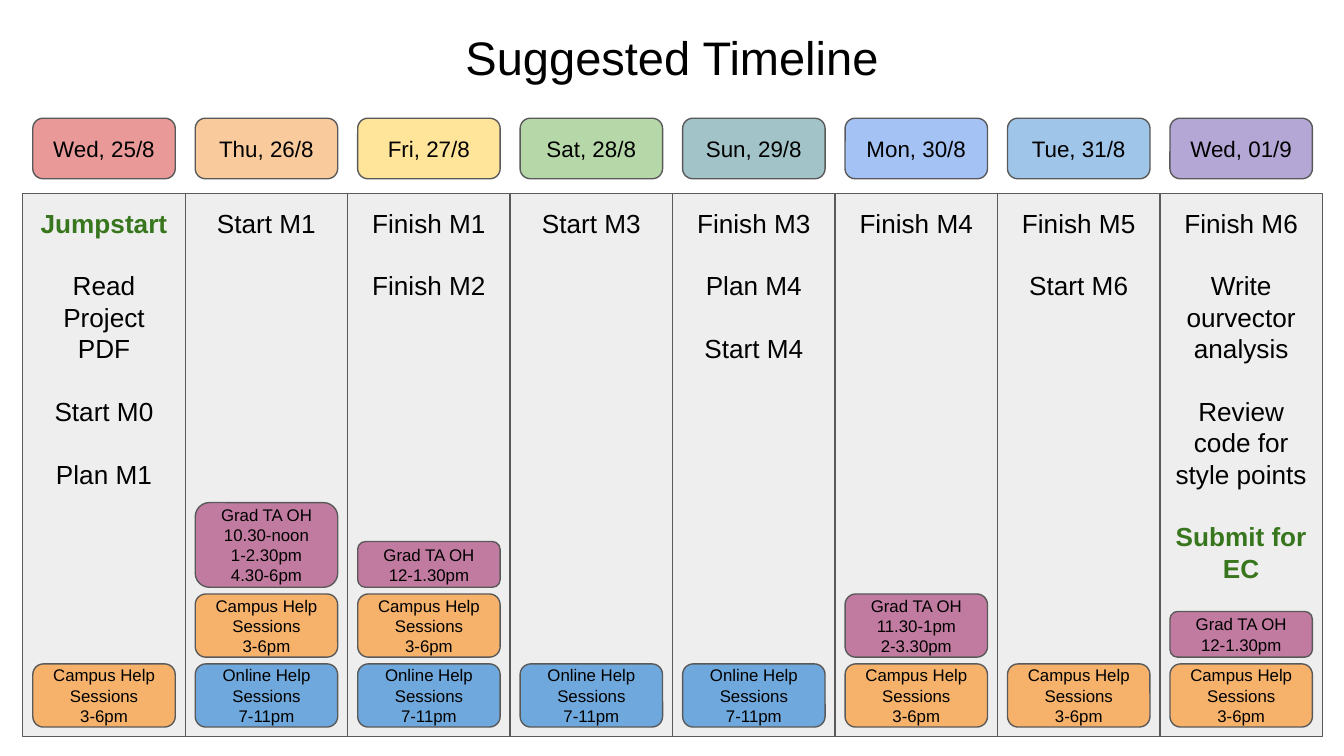
from pptx import Presentation
from pptx.dml.color import RGBColor
from pptx.enum.shapes import MSO_SHAPE
from pptx.enum.text import MSO_ANCHOR, PP_ALIGN
from pptx.util import Inches, Pt

RECT, ROUNDED = MSO_SHAPE.RECTANGLE, MSO_SHAPE.ROUNDED_RECTANGLE
TOP, MIDDLE = MSO_ANCHOR.TOP, MSO_ANCHOR.MIDDLE
CENTER = PP_ALIGN.CENTER

BLACK, GREEN, GREY, BORDER = "000000", "38761D", "EEEEEE", "595959"
BLUE, ORANGE, PURPLE = "6FA8DC", "F6B26B", "C27BA0"

# Slide, column and card geometry, in inches
SLIDE_WIDTH = 10
SLIDE_HEIGHT = SLIDE_WIDTH * 9 / 16
LEFT, PITCH, COLUMN_TOP, COLUMN_HEIGHT = 0.17, 9.67 / 8, 1.44, 4.04
CARD_WIDTH = 1.06
CARD_INSET = (PITCH - CARD_WIDTH) / 2
DATE_TOP, DATE_HEIGHT = 0.88, 0.45
SESSIONS_BOTTOM, SESSION_GAP = 5.41, 0.05

# Help sessions: fill, height, lines
ONLINE = (BLUE, 0.47, ["Online Help Sessions", "7-11pm"])
CAMPUS = (ORANGE, 0.47, ["Campus Help Sessions", "3-6pm"])


def grad_hours(height, *times):
    return PURPLE, height, ["Grad TA OH", *times]


# Each day: date, date colour, tasks, sessions from the bottom up
DAYS = [
    ("Wed, 25/8", "EA9999", ["Jumpstart", "Read Project PDF", "Start M0", "Plan M1"],
     [CAMPUS]),
    ("Thu, 26/8", "F9CB9C", ["Start M1"],
     [ONLINE, CAMPUS, grad_hours(0.63, "10.30-noon", "1-2.30pm", "4.30-6pm")]),
    ("Fri, 27/8", "FFE599", ["Finish M1", "Finish M2"],
     [ONLINE, CAMPUS, grad_hours(0.34, "12-1.30pm")]),
    ("Sat, 28/8", "B6D7A8", ["Start M3"], [ONLINE]),
    ("Sun, 29/8", "A2C4C9", ["Finish M3", "Plan M4", "Start M4"], [ONLINE]),
    ("Mon, 30/8", "A4C2F4", ["Finish M4"],
     [CAMPUS, grad_hours(0.47, "11.30-1pm", "2-3.30pm")]),
    ("Tue, 31/8", "9FC5E8", ["Finish M5", "Start M6"], [CAMPUS]),
    ("Wed, 01/9", "B4A7D6",
     ["Finish M6", "Write ourvector analysis", "Review code for style points",
      "Submit for EC"],
     [CAMPUS, grad_hours(0.34, "12-1.30pm")]),
]
MILESTONES = {"Jumpstart", "Submit for EC"}


def rgb(value):
    return RGBColor.from_string(value)


def write(frame, lines, size, anchor=MIDDLE, gap=0, highlights=()):
    """Fill a text frame with one centred paragraph per line."""
    frame.word_wrap = True
    frame.vertical_anchor = anchor
    frame.margin_left = frame.margin_right = Inches(0.1)
    frame.margin_top = frame.margin_bottom = Inches(0.1)
    for index, line in enumerate(lines):
        paragraph = frame.add_paragraph() if index else frame.paragraphs[0]
        paragraph.alignment = CENTER
        if index and gap:
            paragraph.space_before = Pt(gap)
        run = paragraph.add_run()
        run.text = line
        font = run.font
        font.name, font.size = "Arial", Pt(size)
        font.bold = line in highlights
        font.color.rgb = rgb(GREEN if line in highlights else BLACK)


class Timeline:
    def __init__(self, slide):
        self.slide = slide

    def title(self, text):
        box = self.slide.shapes.add_textbox(
            Inches(0.34), Inches(0.11), Inches(9.32), Inches(0.63))
        write(box.text_frame, [text], 25.2)

    def box(self, kind, left, top, width, height, fill):
        shape = self.slide.shapes.add_shape(
            kind, Inches(left), Inches(top), Inches(width), Inches(height))
        shape.shadow.inherit = False
        shape.fill.solid()
        shape.fill.fore_color.rgb = rgb(fill)
        shape.line.color.rgb = rgb(BORDER)
        shape.line.width = Pt(0.75)
        return shape

    def column(self, left, tasks):
        column = self.box(RECT, left, COLUMN_TOP, PITCH, COLUMN_HEIGHT, GREY)
        write(column.text_frame, tasks, 14, anchor=TOP, gap=16.8, highlights=MILESTONES)

    def card(self, left, top, height, fill, lines, size):
        card = self.box(ROUNDED, left + CARD_INSET, top, CARD_WIDTH, height, fill)
        write(card.text_frame, lines, size)

    def sessions(self, left, sessions):
        bottom = SESSIONS_BOTTOM
        for fill, height, lines in sessions:
            self.card(left, bottom - height, height, fill, lines, 9)
            bottom -= height + SESSION_GAP


def main():
    deck = Presentation()
    deck.slide_width, deck.slide_height = Inches(SLIDE_WIDTH), Inches(SLIDE_HEIGHT)
    timeline = Timeline(deck.slides.add_slide(deck.slide_layouts[6]))

    timeline.title("Suggested Timeline")

    # One column per day, with its date above and its sessions at the foot
    for index, (date, colour, tasks, sessions) in enumerate(DAYS):
        left = LEFT + index * PITCH
        timeline.column(left, tasks)
        timeline.card(left, DATE_TOP, DATE_HEIGHT, colour, [date], 12)
        timeline.sessions(left, sessions)

    deck.save("out.pptx")


if __name__ == "__main__":
    main()
